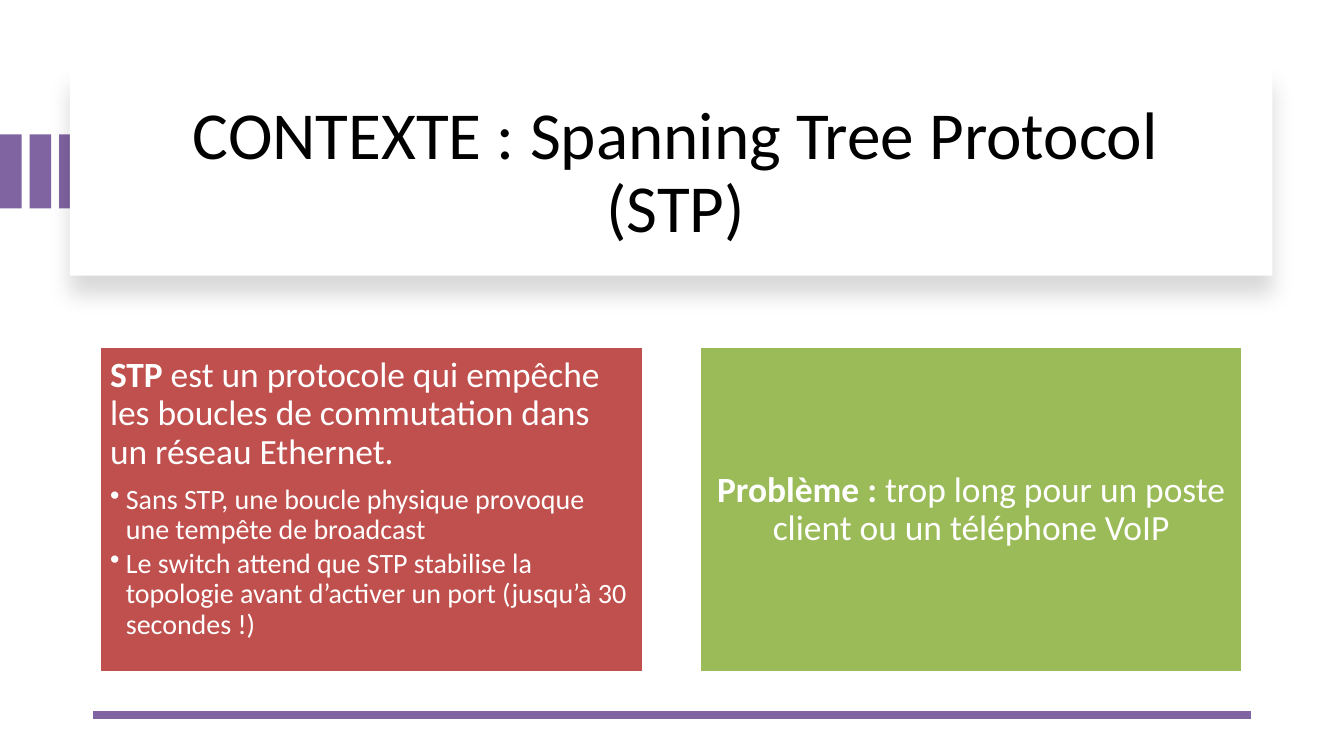
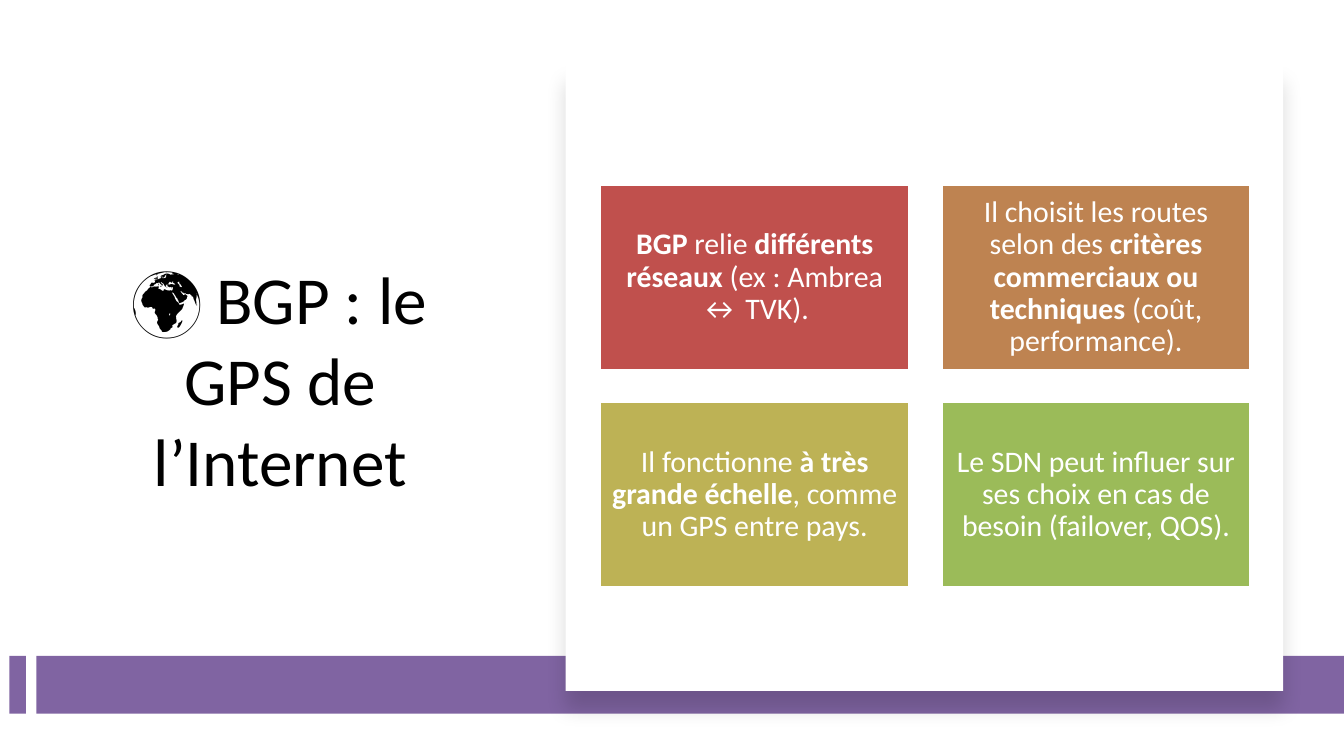
"""Builds two slides on STP and BGP with a shadowed white panel and coloured cards."""
from lxml.etree import SubElement
from pptx import Presentation
from pptx.dml.color import RGBColor
from pptx.enum.shapes import MSO_CONNECTOR, MSO_SHAPE
from pptx.enum.text import MSO_ANCHOR, MSO_AUTO_SIZE, PP_ALIGN
from pptx.oxml.ns import qn
from pptx.util import Cm, Pt

FONT = "Calibri"
BLACK, WHITE, PURPLE = "000000", "FFFFFF", "8064A2"
RED, BROWN, OLIVE, GREEN = "C0504D", "BE8351", "BDB255", "9BBB59"

SLIDES = [
    {
        "title": "CONTEXTE : Spanning Tree Protocol (STP)",
        "title_box": (2.18, 1.68, 21.18, 3.23),
        "title_spacing": 0.9,
        "bars": [(0.56 * i, 2.54, 0.41, 1.4) for i in range(3)],
        "panel": (1.32, 1.27, 22.73, 3.94),
        "origin": (1.88, 6.55),
        "step": (11.33, 0),
        "card_size": (10.29, 6.17),
        "inset": 0.2,
        "text_size": 19,
        "cards": [
            (RED,
             [("STP", True),
              (" est un protocole qui empêche les boucles de commutation dans un réseau Ethernet.", False)],
             ["Sans STP, une boucle physique provoque une tempête de broadcast",
              "Le switch attend que STP stabilise la topologie avant d’activer un port (jusqu’à 30 secondes !)"]),
            (GREEN,
             [("Problème :", True), (" trop long pour un poste client ou un téléphone VoIP", False)],
             []),
        ],
    },
    {
        "title": "🌍 BGP : le GPS de l’Internet",
        "title_box": (1.35, 2.29, 7.9, 9.73),
        "title_spacing": 1.0,
        "bars": [(0.18, 12.4, 0.31, 1.09), (0.69, 12.4, 24.71, 1.09)],
        "panel": (10.69, 1.22, 13.56, 11.84),
        "origin": (11.33, 3.48),
        "step": (6.45, 4.11),
        "card_size": (5.87, 3.53),
        "inset": 0.18,
        "text_size": 16,
        "cards": [
            (RED,
             [("BGP", True), (" relie ", False), ("différents réseaux", True),
              (" (ex : Ambrea ↔ TVK).", False)], []),
            (BROWN,
             [("Il choisit les routes selon des ", False),
              ("critères commerciaux ou techniques", True), (" (coût, performance).", False)], []),
            (OLIVE,
             [("Il fonctionne ", False), ("à très grande échelle", True),
              (", comme un GPS entre pays.", False)], []),
            (GREEN,
             [("Le SDN peut influer sur ses choix en cas de besoin (failover, QOS).", False)], []),
        ],
    },
]


def add_rectangle(slide, box, color):
    """Adds a plain rectangle, placed in centimetres, without line or shadow."""
    shape = slide.shapes.add_shape(MSO_SHAPE.RECTANGLE, *map(Cm, box))
    shape.fill.solid()
    shape.fill.fore_color.rgb = RGBColor.from_string(color)
    shape.line.fill.background()
    shape.shadow.inherit = False
    return shape


def add_run(paragraph, text, size, color, bold=False):
    """Adds one formatted run to a paragraph."""
    run = paragraph.add_run()
    run.text = text
    run.font.name = FONT
    run.font.size = Pt(size)
    run.font.bold = bold
    run.font.color.rgb = RGBColor.from_string(color)


presentation = Presentation()
presentation.slide_width = Cm(25.4)
presentation.slide_height = Cm(14.29)

for content in SLIDES:
    slide = presentation.slides.add_slide(presentation.slide_layouts[5])
    for bar in content["bars"]:
        add_rectangle(slide, bar, PURPLE)

    panel = add_rectangle(slide, content["panel"], WHITE)
    effects = panel.element.spPr.find(qn("a:effectLst"))
    shadow = SubElement(effects, qn("a:outerShdw"), blurRad=str(Pt(11)), dist=str(Pt(10)),
                        dir="5400000", algn="t", rotWithShape="0")
    shadow_color = SubElement(shadow, qn("a:srgbClr"), val=BLACK)
    SubElement(shadow_color, qn("a:alpha"), val="15000")

    title = slide.shapes.title
    title.left, title.top, title.width, title.height = map(Cm, content["title_box"])
    title.element.getparent().append(title.element)
    frame = title.text_frame
    frame.word_wrap = True
    frame.auto_size = MSO_AUTO_SIZE.NONE
    frame.vertical_anchor = MSO_ANCHOR.MIDDLE
    paragraph = frame.paragraphs[0]
    paragraph.alignment = PP_ALIGN.CENTER
    paragraph.line_spacing = content["title_spacing"]
    add_run(paragraph, content["title"], 36, BLACK)

    left, top = content["origin"]
    column_step, row_step = content["step"]
    for index, (color, runs, bullets) in enumerate(content["cards"]):
        row, column = divmod(index, 2)
        position = (left + column * column_step, top + row * row_step)
        card = add_rectangle(slide, position + content["card_size"], color)
        card.line.color.rgb = RGBColor.from_string(WHITE)
        card.line.width = Pt(2)

        frame = card.text_frame
        frame.word_wrap = True
        frame.vertical_anchor = MSO_ANCHOR.TOP if bullets else MSO_ANCHOR.MIDDLE
        frame.margin_left = frame.margin_right = Cm(content["inset"])
        frame.margin_top = frame.margin_bottom = Cm(content["inset"])
        paragraph = frame.paragraphs[0]
        paragraph.alignment = PP_ALIGN.LEFT if bullets else PP_ALIGN.CENTER
        paragraph.line_spacing = 0.9
        paragraph.space_after = Pt(7)
        for text, bold in runs:
            add_run(paragraph, text, content["text_size"], WHITE, bold)

        for text in bullets:
            paragraph = frame.add_paragraph()
            paragraph.level = 1
            paragraph.alignment = PP_ALIGN.LEFT
            paragraph.line_spacing = 0.9
            paragraph.space_after = Pt(2)
            add_run(paragraph, text, 15, WHITE)
            properties = paragraph._p.get_or_add_pPr()
            properties.set("marL", str(Cm(0.3)))
            properties.set("indent", str(Cm(-0.3)))
            SubElement(properties, qn("a:buChar"), char="•")

footer_line = presentation.slides[0].shapes.add_connector(
    MSO_CONNECTOR.STRAIGHT, Cm(23.65), Cm(13.51), Cm(1.75), Cm(13.51))
footer_line.line.color.rgb = RGBColor.from_string(PURPLE)
footer_line.line.width = Pt(4.5)
SubElement(footer_line.element.spPr, qn("a:effectLst"))

presentation.save("out.pptx")
